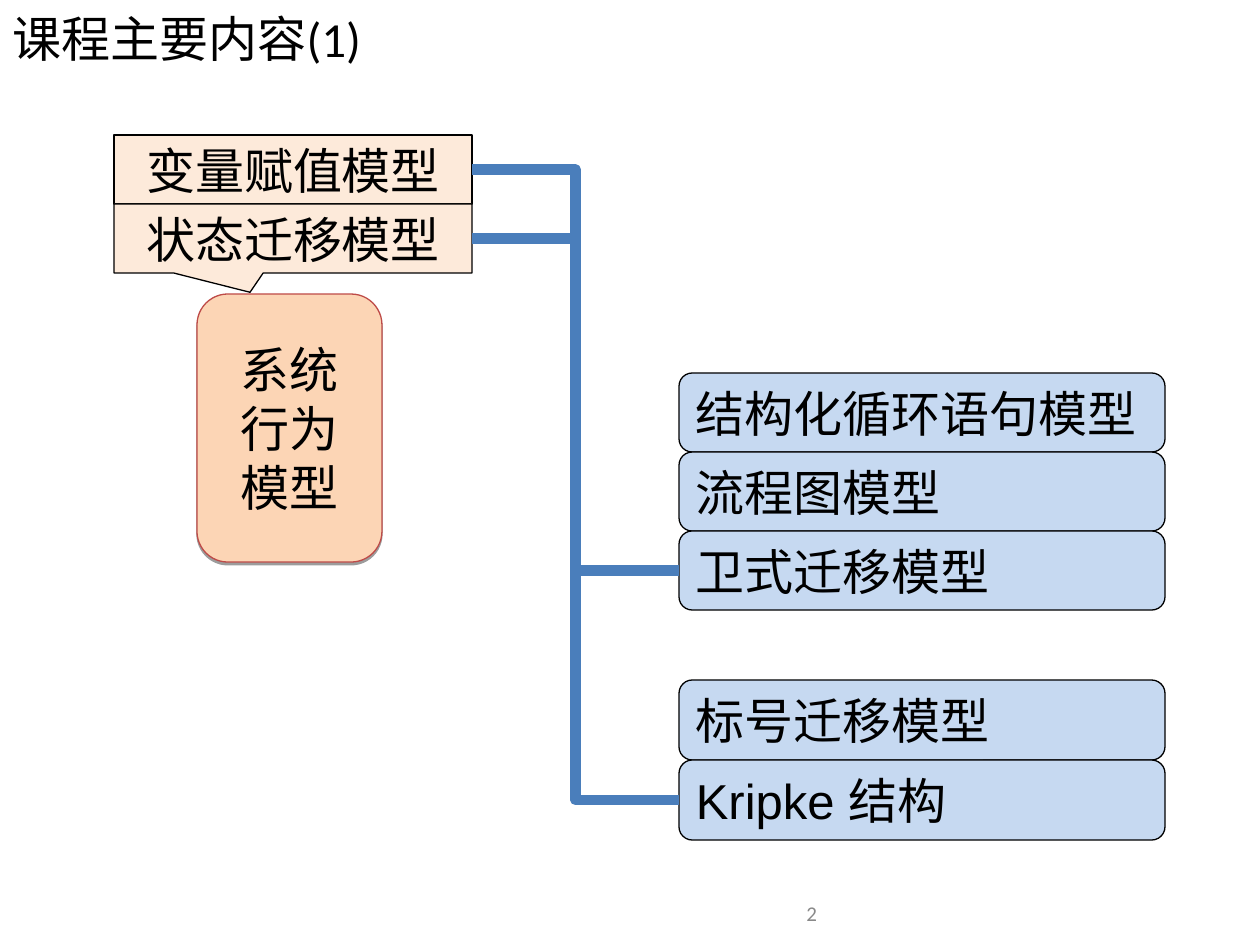
from lxml.etree import SubElement
from pptx import Presentation
from pptx.dml.color import RGBColor
from pptx.enum.shapes import MSO_CONNECTOR, MSO_SHAPE
from pptx.enum.text import MSO_ANCHOR, PP_ALIGN
from pptx.oxml.ns import qn
from pptx.util import Emu, Pt

BLACK = RGBColor(0x00, 0x00, 0x00)
GREY = RGBColor(0x89, 0x89, 0x89)
BLUE = RGBColor(0x4A, 0x7E, 0xBB)
PALE_BLUE = RGBColor(0xC6, 0xD9, 0xF1)
CREAM = RGBColor(0xFD, 0xEA, 0xDA)
PEACH = RGBColor(0xFC, 0xD5, 0xB5)
RED = RGBColor(0xBE, 0x4B, 0x48)

LEFT, RIGHT = 1, 3


def px(length):
    """Turn pixels, at 126 to the inch, into EMU."""
    return Emu(round(length * 914400 / 126))


def write(box, text, size=28, font="Calibri", color=BLACK, align=PP_ALIGN.LEFT,
          anchor=MSO_ANCHOR.MIDDLE, insets=(13, 6, 13, 6)):
    """Put one formatted paragraph into a box."""
    frame = box.text_frame
    frame.word_wrap = True
    frame.vertical_anchor = anchor
    frame.margin_left, frame.margin_top, frame.margin_right, frame.margin_bottom = map(px, insets)
    para = frame.paragraphs[0]
    para.alignment = align
    span = para.add_run()
    span.text = text
    span.font.size = Pt(size)
    span.font.name = font
    span.font.color.rgb = color


def add_label(page, bounds, text, **style):
    """Add a plain text box."""
    box = page.shapes.add_textbox(*map(px, bounds))
    write(box, text, **style)


def add_block(page, kind, bounds, fill, text, line=BLACK, adjustments=(), **style):
    """Add a filled, outlined shape with text."""
    box = page.shapes.add_shape(kind, *map(px, bounds))
    box.shadow.inherit = False
    box.fill.solid()
    box.fill.fore_color.rgb = fill
    box.line.color.rgb = line
    box.line.width = Pt(0.75)
    for index, value in enumerate(adjustments):
        box.adjustments[index] = value
    write(box, text, **style)
    return box


def add_stack(page, bounds, kind, fill, texts, adjustments=(), **style):
    """Divide the bounds into equal rows, one block for each text."""
    left, top, width, height = bounds
    row = height // len(texts)
    tips = adjustments or [()] * len(texts)
    return [
        add_block(page, kind, (left, top + index * row, width, row), fill, text,
                  adjustments=tip, **style)
        for index, (text, tip) in enumerate(zip(texts, tips))
    ]


def add_system(page, bounds):
    """Add the system behaviour block with its drop shadow."""
    box = add_block(page, MSO_SHAPE.ROUNDED_RECTANGLE, bounds, PEACH, "系统行为模型",
                    line=RED, adjustments=[0.1667], align=PP_ALIGN.CENTER,
                    insets=(18, 6, 18, 6))
    effects = box.element.spPr.find(qn("a:effectLst"))
    shadow = SubElement(effects, qn("a:outerShdw"), blurRad="0", dist=str(Pt(1.6)),
                        dir="5400000", rotWithShape="0")
    color = SubElement(shadow, qn("a:srgbClr"), val=str(BLACK))
    SubElement(color, qn("a:alpha"), val="38000")


def join(page, source, target):
    """Link the right side of one block to the left side of another."""
    link = page.shapes.add_connector(MSO_CONNECTOR.ELBOW, 0, 0, 0, 0)
    link.begin_connect(source, RIGHT)
    link.end_connect(target, LEFT)
    link.line.color.rgb = BLUE
    link.line.width = Pt(6)
    SubElement(link.element.spPr, qn("a:effectLst"))


def build_page(page):
    """Place every region of the slide."""
    add_label(page, (0, 0, 1198, 76), "课程主要内容(1)")
    add_label(page, (431, 876, 399, 50), "2", size=12, color=GREY, align=PP_ALIGN.RIGHT,
              anchor=MSO_ANCHOR.BOTTOM, insets=(13, 0, 13, 0))
    add_system(page, (197, 294, 185, 268))
    process = MSO_SHAPE.FLOWCHART_ALTERNATE_PROCESS
    programs = add_stack(page, (679, 373, 486, 238), process, PALE_BLUE,
                         ["结构化循环语句模型", "流程图模型", "卫式迁移模型"], font="Arial")
    structures = add_stack(page, (679, 680, 486, 160), process, PALE_BLUE,
                           ["标号迁移模型", "Kripke 结构"], font="Arial")
    behaviours = add_stack(page, (114, 135, 358, 138), MSO_SHAPE.RECTANGULAR_CALLOUT, CREAM,
                           ["变量赋值模型", "状态迁移模型"],
                           adjustments=[(-0.1, 0.5), (-0.12, 0.78)], align=PP_ALIGN.CENTER)
    for source, target in zip(behaviours, (programs[-1], structures[-1])):
        join(page, source, target)


def main():
    """Build the deck and save it."""
    deck = Presentation()
    deck.slide_width, deck.slide_height = px(1260), px(945)
    build_page(deck.slides.add_slide(deck.slide_layouts[6]))
    deck.save("out.pptx")


if __name__ == "__main__":
    main()
